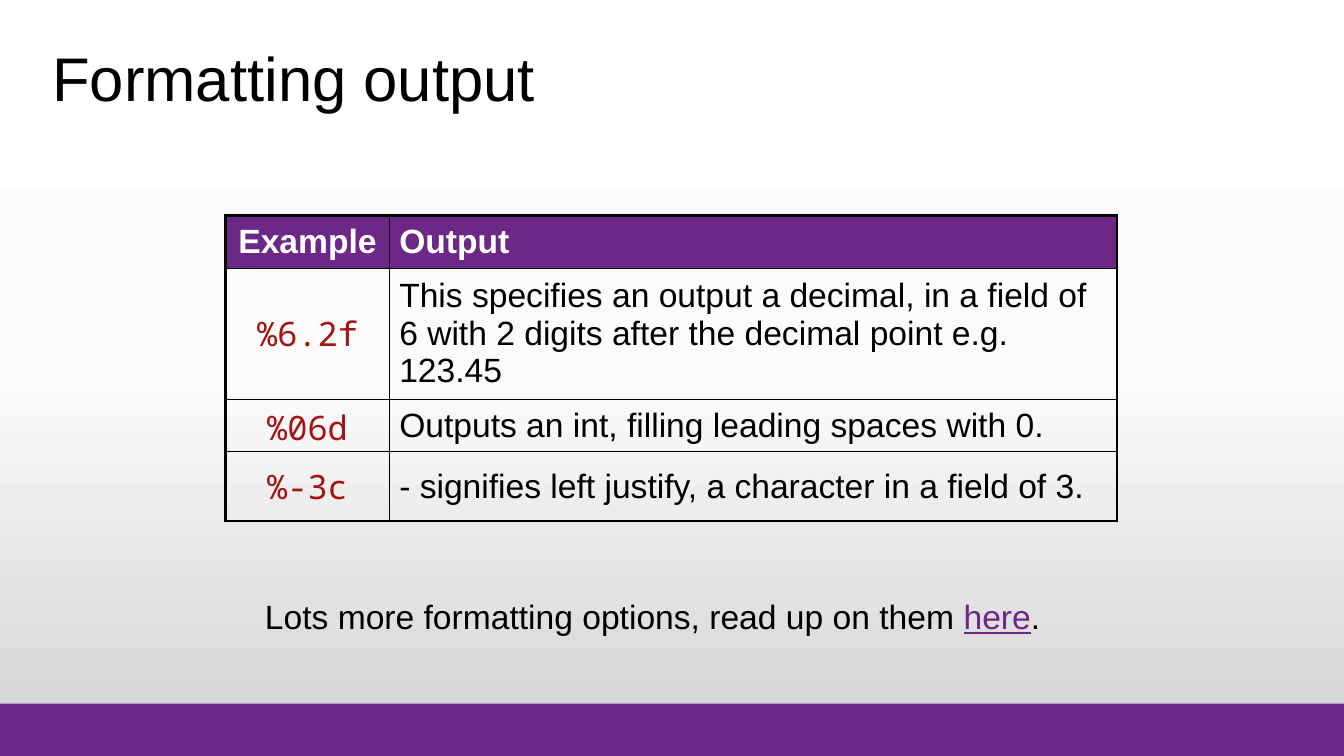
from copy import deepcopy

from lxml import etree
from pptx import Presentation
from pptx.dml.color import RGBColor
from pptx.enum.shapes import MSO_SHAPE
from pptx.enum.text import MSO_ANCHOR, PP_ALIGN
from pptx.oxml.ns import qn
from pptx.util import Inches, Pt

RECTANGLE = MSO_SHAPE.RECTANGLE
MIDDLE, BOTTOM = MSO_ANCHOR.MIDDLE, MSO_ANCHOR.BOTTOM
LEFT, CENTER = PP_ALIGN.LEFT, PP_ALIGN.CENTER
PURPLE, BLACK, WHITE, RED = "6C2787", "000000", "FFFFFF", "A31515"
BODY_FONT, CODE_FONT = "Arial", "Noto Sans Mono"
BACKGROUND_STOPS = [(0, "FFFFFF"), (0.5, "FBFBFB"), (1, "D1D1D1")]
COLUMN_WIDTHS = [1.62, 7.22]
ROW_HEIGHTS = [0.52, 0.69, 0.52, 0.69]
ROWS = [
    ("Example", "Output"),
    ("%6.2f", "This specifies an output a decimal, in a field of 6 with 2 digits "
              "after the decimal point e.g. 123.45"),
    ("%06d", "Outputs an int, filling leading spaces with 0."),
    ("%-3c", "- signifies left justify, a character in a field of 3."),
]


def color(value):
    """Turn a hex string into a colour."""
    return RGBColor.from_string(value)


def style(font, size, fill, name=BODY_FONT, bold=False):
    """Set the size, colour, typeface and weight of a font."""
    font.size, font.name, font.bold = Pt(size), name, bold
    font.color.rgb = color(fill)


def paint_background(page):
    """Fill the page with a vertical three-stop gradient."""
    fill = page.background.fill
    fill.gradient()
    fill.gradient_angle = 270
    stop_list = page.element.find(".//" + qn("a:gsLst"))
    stop_list.append(deepcopy(stop_list[-1]))
    for stop, (position, value) in zip(fill.gradient_stops, BACKGROUND_STOPS):
        stop.position = position
        stop.color.rgb = color(value)


def add_footer_band(page, left, top, width, height):
    """Draw the plain band along the foot of the page."""
    band = page.shapes.add_shape(RECTANGLE, Inches(left), Inches(top),
                                 Inches(width), Inches(height))
    band.shadow.inherit = False
    band.fill.solid()
    band.fill.fore_color.rgb = color(PURPLE)
    band.line.fill.background()


def add_text(page, left, top, width, height, size, spans, anchor=None):
    """Add one wrapped paragraph made of (text, colour, underline) spans."""
    box = page.shapes.add_textbox(Inches(left), Inches(top),
                                  Inches(width), Inches(height))
    frame = box.text_frame
    frame.word_wrap = True
    frame.vertical_anchor = anchor
    para = frame.paragraphs[0]
    for text, fill, underline in spans:
        span = para.add_run()
        span.text = text
        style(span.font, size, fill)
        span.font.underline = underline
    return para


def set_borders(cell, widths):
    """Draw black borders with widths in left, right, top, bottom order."""
    properties = cell._tc.get_or_add_tcPr()
    for side, width in zip("LRTB", widths):
        line = etree.SubElement(properties, qn("a:ln" + side), w=str(Pt(width)))
        fill = etree.SubElement(line, qn("a:solidFill"))
        etree.SubElement(fill, qn("a:srgbClr"), val=BLACK)


def add_format_table(page, left, top):
    """Place the format examples with a heavy outline and thin inner rules."""
    last_row, last_column = len(ROWS) - 1, len(COLUMN_WIDTHS) - 1
    frame = page.shapes.add_table(len(ROWS), len(COLUMN_WIDTHS),
                                  Inches(left), Inches(top),
                                  Inches(sum(COLUMN_WIDTHS)), Inches(sum(ROW_HEIGHTS)))
    table = frame.table
    table.horz_banding = False
    for column, width in zip(table.columns, COLUMN_WIDTHS):
        column.width = Inches(width)
    for row_index, texts in enumerate(ROWS):
        table.rows[row_index].height = Inches(ROW_HEIGHTS[row_index])
        for column_index, text in enumerate(texts):
            cell = table.cell(row_index, column_index)
            outer = (column_index == 0, column_index == last_column,
                     row_index == 0, row_index == last_row)
            set_borders(cell, [2.25 if edge else 1 for edge in outer])
            cell.vertical_anchor = MIDDLE
            cell.text_frame.text = text
            para = cell.text_frame.paragraphs[0]
            para.alignment = CENTER if column_index == 0 else LEFT
            font = para.runs[0].font
            if row_index == 0:
                cell.fill.solid()
                cell.fill.fore_color.rgb = color(PURPLE)
                style(font, 24, WHITE, bold=True)
            else:
                cell.fill.background()
                if column_index == 0:
                    style(font, 24, RED, CODE_FONT)
                else:
                    style(font, 24, BLACK)


def main():
    """Build the slide and save the deck."""
    deck = Presentation()
    deck.slide_width, deck.slide_height = Inches(13.33), Inches(7.5)
    page = deck.slides.add_slide(deck.slide_layouts[6])
    paint_background(page)
    add_footer_band(page, 0, 6.98, 13.33, 0.52)
    title = add_text(page, 0.42, 0.32, 10.25, 0.87, 44,
                     [("Formatting output", BLACK, False)], BOTTOM)
    title.line_spacing = 0.9
    add_format_table(page, 2.24, 2.14)
    add_text(page, 2.53, 5.86, 8.26, 0.5, 24, [
        ("Lots more formatting options, read up on them ", BLACK, False),
        ("here", PURPLE, True),
        (".", BLACK, False),
    ])
    deck.save("out.pptx")


if __name__ == "__main__":
    main()
